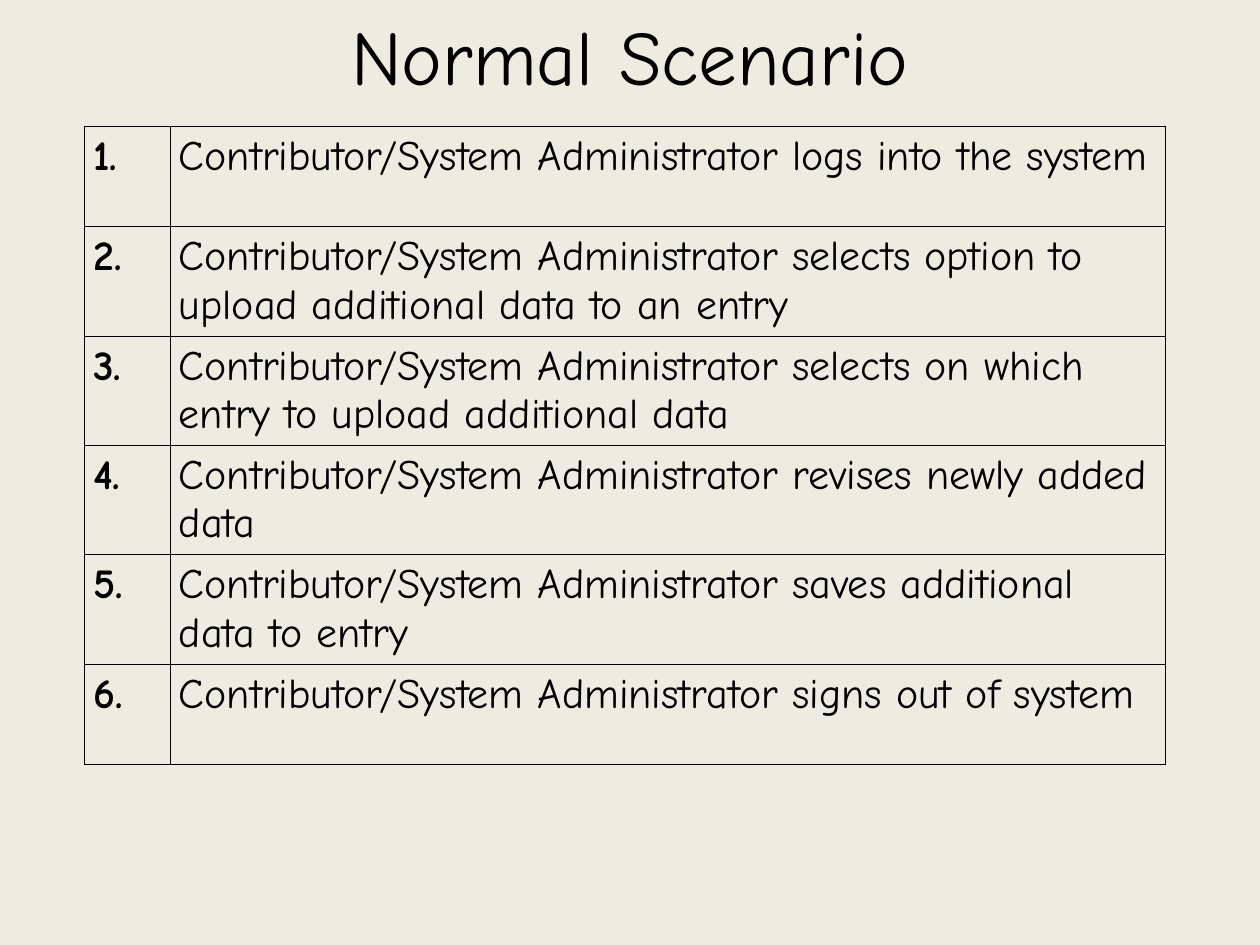
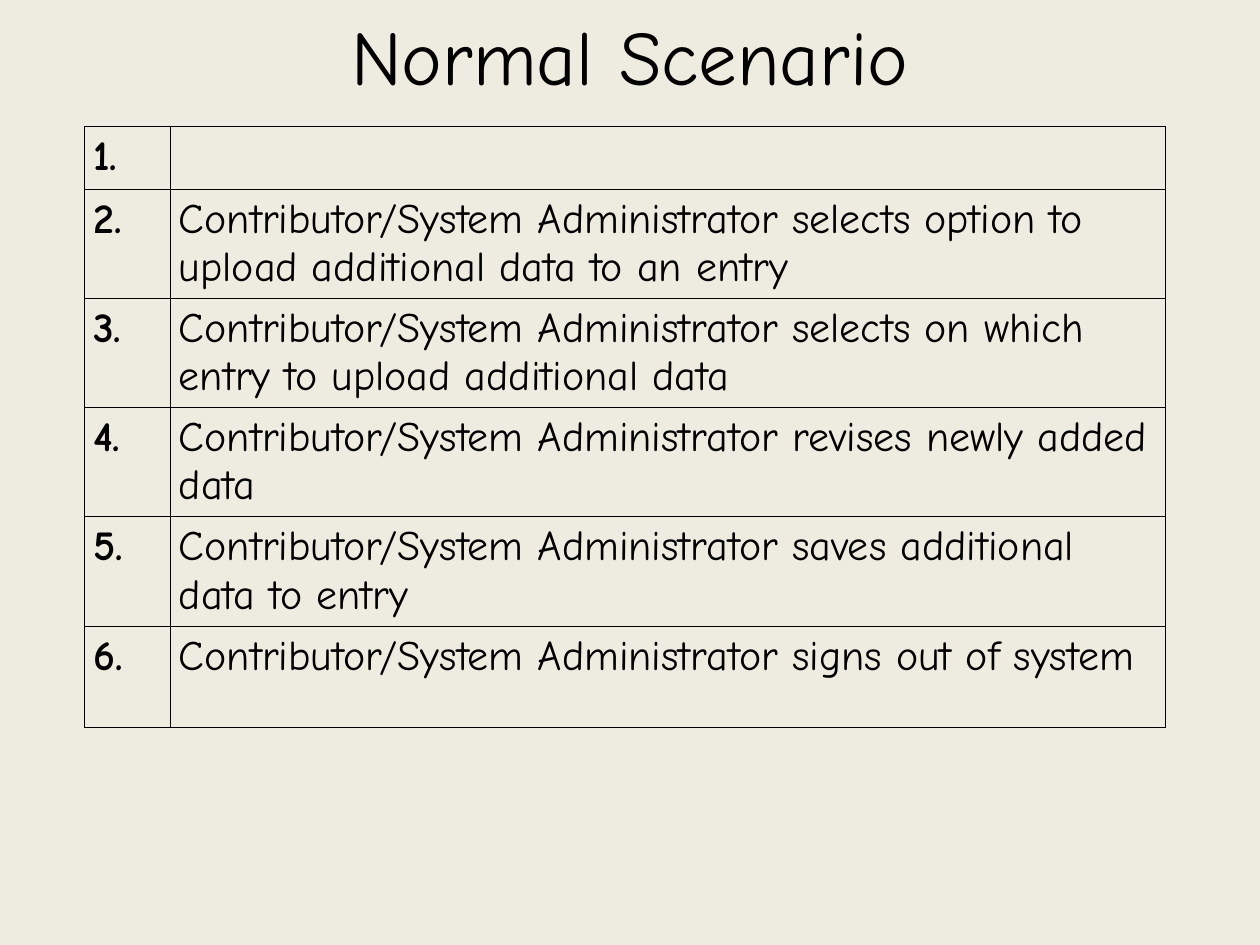
from pptx import Presentation
from pptx.dml.color import RGBColor
from pptx.enum import text
from pptx.oxml.ns import qn
from pptx.util import Inches, Pt
from lxml import etree

TITLE = "Normal Scenario"
ACTOR = "Contributor/System Administrator"
LOGIN = f"{ACTOR} logs into the system"
STEPS = [
    f"{ACTOR} selects option to upload additional data to an entry",
    f"{ACTOR} selects on which entry to upload additional data",
    f"{ACTOR} revises newly added data",
    f"{ACTOR} saves additional data to entry",
    f"{ACTOR} signs out of system",
]
SLIDES = [(LOGIN, 0.8), ("", 0.5)]
FONT, INK, PAPER = "Comic Neue", "000000", "EEECE1"
COLS = [0.68, 7.9]
STEP_H = 0.8


def paint(target, hue):
    target.rgb = RGBColor.from_string(hue)


def write(para, words, size, bold=False):
    run = para.add_run()
    run.text = words
    run.font.name = FONT
    run.font.size = Pt(size)
    run.font.bold = bold
    paint(run.font.color, INK)


def edge(cell):
    props = cell._tc.get_or_add_tcPr()
    for side in "LRTB":
        line = etree.SubElement(props, qn(f"a:ln{side}"), w=str(Pt(0.45)))
        fill = etree.SubElement(line, qn("a:solidFill"))
        etree.SubElement(fill, qn("a:srgbClr"), val=INK)


def set_cell(cell, words, bold):
    edge(cell)
    cell.fill.background()
    cell.margin_left = cell.margin_right = Inches(0.07)
    cell.margin_top = cell.margin_bottom = Inches(0.05)
    if words:
        write(cell.text_frame.paragraphs[0], words, 24, bold)


def add_title(slide):
    title = slide.shapes.title
    title.left, title.top = Inches(0), Inches(0)
    title.width, title.height = Inches(10), Inches(0.87)
    frame = title.text_frame
    frame.auto_size = text.MSO_AUTO_SIZE.NONE
    frame.vertical_anchor = text.MSO_ANCHOR.MIDDLE
    para = frame.paragraphs[0]
    para.alignment = text.PP_ALIGN.CENTER
    write(para, TITLE, 44)


def add_steps(slide, steps, heights):
    table = slide.shapes.add_table(
        len(steps), len(COLS), Inches(0.67), Inches(1),
        Inches(sum(COLS)), Inches(sum(heights))).table
    table.first_row = table.horz_banding = False
    for col, width in zip(table.columns, COLS):
        col.width = Inches(width)
    for num, (row, step, height) in enumerate(zip(table.rows, steps, heights), 1):
        row.height = Inches(height)
        set_cell(row.cells[0], f"{num}.", True)
        set_cell(row.cells[1], step, False)


def main():
    deck = Presentation()
    deck.slide_width, deck.slide_height = Inches(10), Inches(7.5)
    back = deck.slide_master.background.fill
    back.solid()
    paint(back.fore_color, PAPER)
    for first, height in SLIDES:
        slide = deck.slides.add_slide(deck.slide_layouts[5])
        add_title(slide)
        add_steps(slide, [first] + STEPS, [height] + [STEP_H] * len(STEPS))
    deck.save("out.pptx")


if __name__ == "__main__":
    main()
